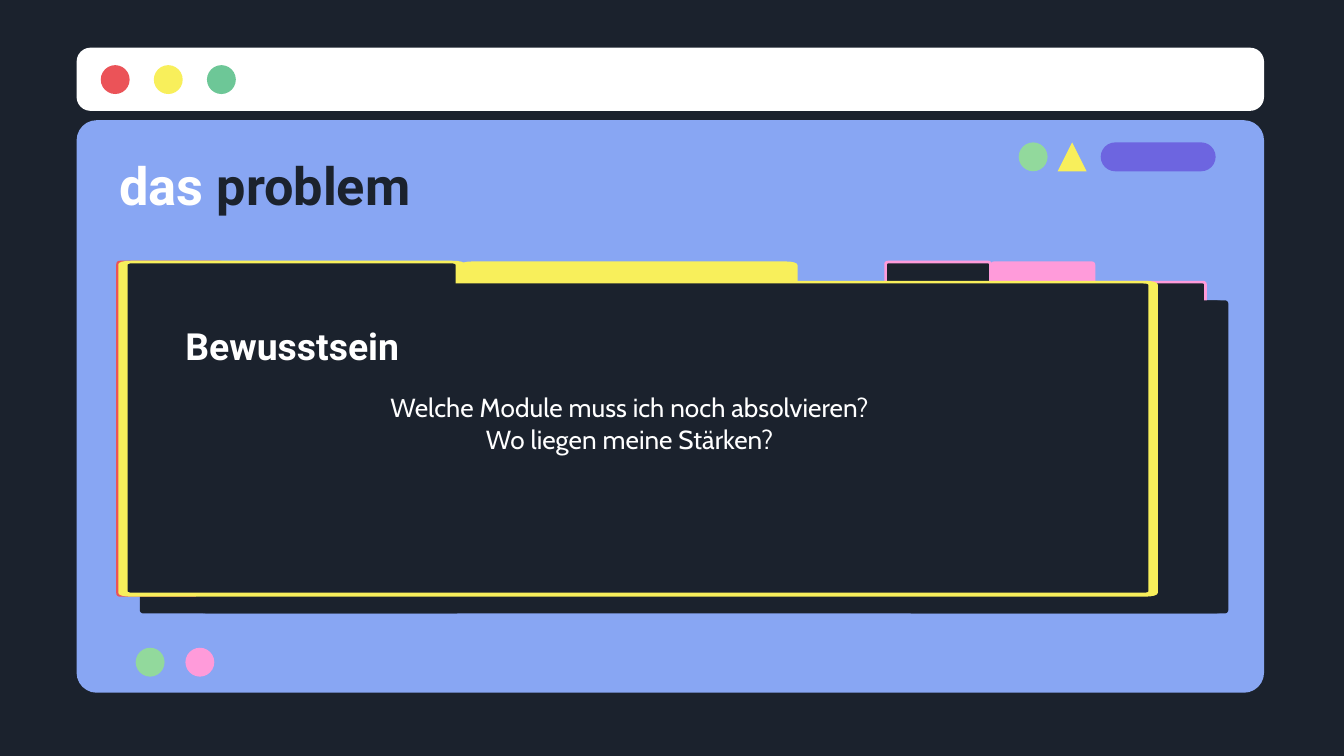
"""Build the "das problem" slide: a browser window holding stacked folders."""
from pptx import Presentation
from pptx import util as u
from pptx.dml.color import RGBColor
from pptx.enum import shapes, text

PX = 4572
NIGHT = RGBColor(0x1B, 0x22, 0x2D)
WHITE = RGBColor(0xFF, 0xFF, 0xFF)
BLUE = RGBColor(0x88, 0xA6, 0xF3)
RED = RGBColor(0xEB, 0x53, 0x58)
YELLOW = RGBColor(0xF8, 0xEF, 0x5B)
GREEN = RGBColor(0x6D, 0xC7, 0x97)
MINT = RGBColor(0x92, 0xD9, 0x9C)
PINK = RGBColor(0xFF, 0x9B, 0xDA)
VIOLET = RGBColor(0x6D, 0x65, 0xE0)

SHAPE = shapes.MSO_SHAPE
ALIGN = text.PP_ALIGN
ANCHOR = text.MSO_ANCHOR
DOT = 43


class Deck:
    def __init__(self, width, height):
        self.prs = Presentation()
        self.prs.slide_width, self.prs.slide_height = width * PX, height * PX
        self.slide = self.prs.slides.add_slide(self.prs.slide_layouts[6])
        self.slide.background.fill.solid()
        self.slide.background.fill.fore_color.rgb = NIGHT

    def paint(self, shape, color):
        shape.shadow.inherit = False
        shape.fill.solid()
        shape.fill.fore_color.rgb = color
        shape.line.fill.background()

    def preset(self, kind, left, top, width, height, color, rounding=None):
        shape = self.slide.shapes.add_shape(
            kind, left * PX, top * PX, width * PX, height * PX)
        if rounding is not None:
            shape.adjustments[0] = rounding
        self.paint(shape, color)

    def dot(self, left, top, color):
        self.preset(SHAPE.OVAL, left, top, DOT, DOT, color)

    def outline(self, color, *contours):
        first = contours[0]
        builder = self.slide.shapes.build_freeform(*first[0], scale=1.0)
        builder.add_line_segments(first[1:], close=True)
        for contour in contours[1:]:
            builder.move_to(*contour[0])
            builder.add_line_segments(contour[1:], close=True)
        self.paint(builder.convert_to_shape(), color)

    def folder(self, left, tab, right, back, step, color):
        radius = 3 * step

        def front(inset):
            dx, top, bottom = step * inset, 388 + 2 * inset, 888 - 3 * inset
            x0, x1, x2 = left + dx, tab - dx, right - dx
            shelf = top + 30
            return rounded([(x0, top), (x1, top), (x1, shelf), (x2, shelf),
                            (x2, bottom), (x0, bottom)],
                           radius - dx, 6 - 2 * inset, square=(x1, shelf))

        def sheet(x0, y0, x1, y1):
            return rounded([(x0, y0), (x1, y0), (x1, y1), (x0, y1)], radius, 6)

        rear = tab - step
        self.outline(NIGHT, sheet(back, 447, back + right - left - 2 * step, 913))
        self.outline(color, sheet(rear, 389, 2 * rear - left - step, 447))
        self.outline(NIGHT, front(1))
        self.outline(color, front(0), front(2)[::-1])

    def label(self, left, top, width, height, lines, size, font,
              align=ALIGN.LEFT, anchor=ANCHOR.MIDDLE, bold=True):
        frame = self.slide.shapes.add_textbox(
            left * PX, top * PX, width * PX, height * PX).text_frame
        frame.word_wrap = True
        frame.vertical_anchor = anchor
        frame.margin_left = frame.margin_right = 20 * PX
        frame.margin_top = frame.margin_bottom = 20 * PX
        for number, runs in enumerate(lines):
            paragraph = frame.add_paragraph() if number else frame.paragraphs[0]
            paragraph.alignment = align
            paragraph.font.size = u.Pt(size)
            paragraph.font.name = font
            paragraph.font.bold = bold
            for words, color in runs:
                run = paragraph.add_run()
                run.text = words
                run.font.color.rgb = color


def rounded(corners, rx, ry, square=None):
    points = []
    for i, (x, y) in enumerate(corners):
        if (x, y) == square:
            points.append((x, y))
            continue
        ends = []
        for nx, ny in (corners[i - 1], corners[(i + 1) % len(corners)]):
            ends.append((x + rx * ((nx > x) - (nx < x)),
                         y + ry * ((ny > y) - (ny < y))))
        (ax, ay), (bx, by) = ends
        for t in (0, 0.25, 0.5, 0.75, 1):
            a, c, b = (1 - t) ** 2, 2 * t * (1 - t), t ** 2
            points.append((a * ax + c * x + b * bx, a * ay + c * y + b * by))
    return [(round(x * PX), round(y * PX)) for x, y in points]


def main():
    deck = Deck(2000, 1125)
    deck.preset(SHAPE.ROUNDED_RECTANGLE, 114, 179, 1767, 852, BLUE, 0.035)
    deck.preset(SHAPE.ROUNDED_RECTANGLE, 114, 71, 1767, 94, WHITE, 0.22)
    for left, color in ((150, RED), (229, YELLOW), (308, GREEN)):
        deck.dot(left, 97, color)

    deck.dot(1516, 212, MINT)
    deck.preset(SHAPE.ISOSCELES_TRIANGLE, 1574, 212, DOT, DOT, YELLOW)
    deck.preset(SHAPE.ROUNDED_RECTANGLE, 1638, 212, 171, DOT, VIOLET, 0.5)
    for left, color in ((276, PINK), (202, MINT)):
        deck.dot(left, 964, color)

    deck.folder(1316, 1476, 1796, 1352, 2, PINK)
    deck.label(158, 212, 1686, 124, [[("das ", WHITE), ("problem", NIGHT)]],
               28, "Roboto")
    deck.folder(173, 333, 653, 208, 2, RED)
    deck.folder(176, 692, 1723, 292, 7, YELLOW)

    deck.label(221, 456, 428, 116, [[("Bewusstsein", WHITE)]],
               20, "Roboto", ALIGN.CENTER)
    questions = ("Welche Module muss ich noch absolvieren?",
                 "Wo liegen meine Stärken?")
    deck.label(202, 563, 1470, 272, [[(line, WHITE)] for line in questions],
               14, "Cabin", ALIGN.CENTER, ANCHOR.TOP, bold=False)
    deck.prs.save("out.pptx")


if __name__ == "__main__":
    main()
